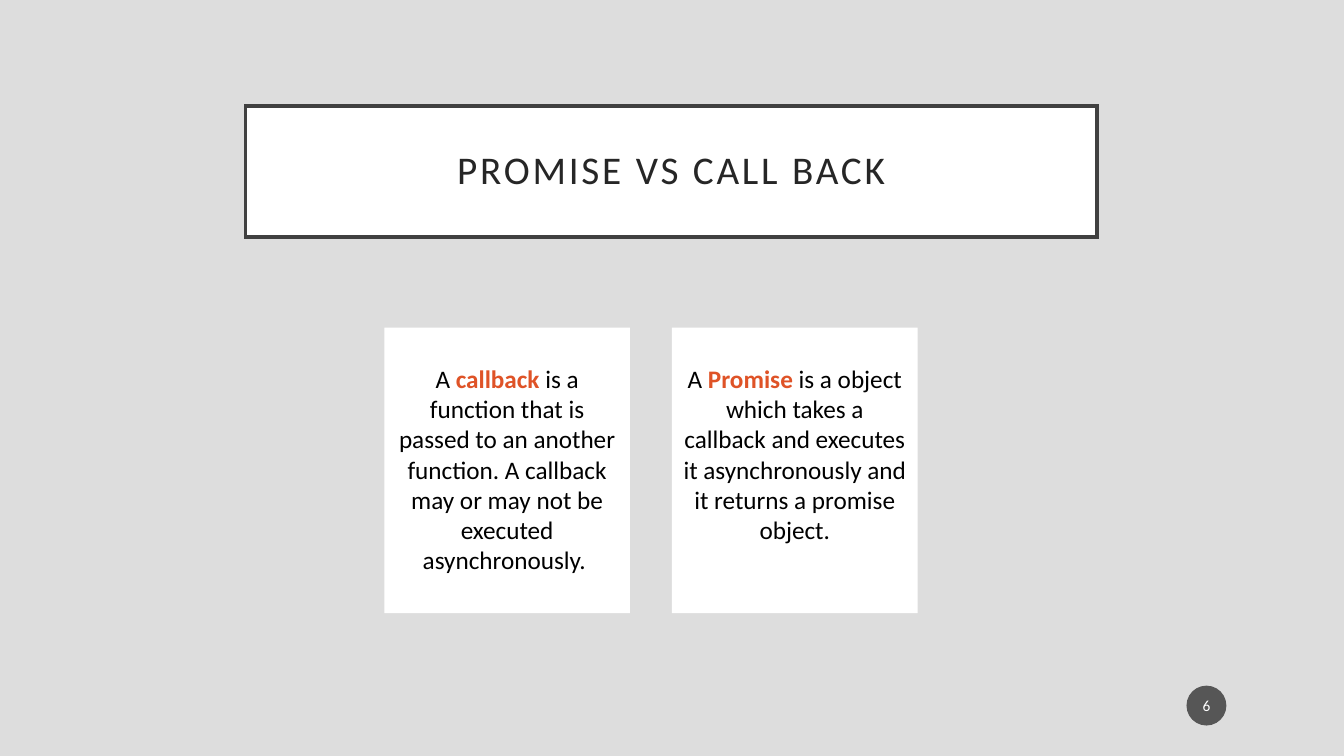
"""Build the slide that compares promises with callbacks."""
from lxml.etree import SubElement
from pptx import Presentation
from pptx.dml.color import RGBColor
from pptx.enum.shapes import MSO_SHAPE as Shape
from pptx.enum.text import MSO_ANCHOR as Anchor, PP_ALIGN as Align
from pptx.oxml.ns import qn
from pptx.util import Emu, Pt

PX = 9525
FONT = "Calibri"
BACKDROP = RGBColor(0xDD, 0xDD, 0xDD)
WHITE = RGBColor(0xFF, 0xFF, 0xFF)
BLACK = RGBColor(0x00, 0x00, 0x00)
FRAME = RGBColor(0x40, 0x40, 0x40)
HEADING = RGBColor(0x26, 0x26, 0x26)
ACCENT = RGBColor(0xDF, 0x53, 0x27)
BADGE = RGBColor(0x1D, 0x1D, 0x1D)

CARD_LEFT, CARD_TOP, CARD_WIDTH, CARD_HEIGHT, CARD_GAP = 366, 312, 234, 272, 40
DEFINITIONS = [
    ("callback ", "is a function that is passed to an another function. "
     "A callback may or may not be executed asynchronously. "),
    ("Promise ", "is a object which takes a callback and executes it "
     "asynchronously and it returns a promise object."),
]


def px(length):
    return Emu(length * PX)


def set_insets(frame, left, top, right, bottom):
    frame.margin_left, frame.margin_top = px(left), px(top)
    frame.margin_right, frame.margin_bottom = px(right), px(bottom)
    frame.word_wrap = True


def style(paragraph, size, color):
    paragraph.alignment = Align.CENTER
    paragraph.font.name = FONT
    paragraph.font.size = Pt(size)
    paragraph.font.color.rgb = color


def add_block(slide, kind, left, top, width, height, color):
    block = slide.shapes.add_shape(kind, px(left), px(top), px(width), px(height))
    block.shadow.inherit = False
    block.fill.solid()
    block.fill.fore_color.rgb = color
    block.line.fill.background()
    return block


def set_title(slide, text):
    title = slide.shapes.title
    title.left, title.top, title.width, title.height = map(px, (234, 101, 811, 125))
    title.fill.solid()
    title.fill.fore_color.rgb = WHITE
    title.line.color.rgb = FRAME
    title.line.width = Pt(2.5)
    SubElement(title.line._get_or_add_ln(), qn("a:miter"), lim="800000")
    frame = title.text_frame
    set_insets(frame, 19, 19, 19, 19)
    frame.vertical_anchor = Anchor.MIDDLE
    heading = frame.paragraphs[0]
    run = heading.add_run()
    run.text = text
    run.font._element.set("spc", "200")
    heading.line_spacing = 0.9
    style(heading, 28, HEADING)


def add_card(slide, left, term, meaning):
    card = add_block(slide, Shape.RECTANGLE, left, CARD_TOP, CARD_WIDTH, CARD_HEIGHT, WHITE)
    frame = card.text_frame
    set_insets(frame, 10, 34, 10, 5)
    frame.vertical_anchor = Anchor.TOP
    definition = frame.paragraphs[0]
    style(definition, 18, BLACK)
    for text, color, bold in (("A ", BLACK, False), (term, ACCENT, True), (meaning, BLACK, False)):
        run = definition.add_run()
        run.text = text
        run.font.name = FONT
        run.font.size = Pt(18)
        run.font.bold = bold
        run.font.color.rgb = color


def add_page_badge(slide, number):
    badge = add_block(slide, Shape.OVAL, 1130, 653, 38, 38, BADGE)
    fill_color = badge.fill._xPr.find(qn("a:solidFill"))[0]
    SubElement(fill_color, qn("a:alpha"), val="70000")
    frame = badge.text_frame
    set_insets(frame, 2, 5, 2, 5)
    frame.vertical_anchor = Anchor.MIDDLE
    frame.text = number
    style(frame.paragraphs[0], 11, WHITE)


def main():
    deck = Presentation()
    deck.slide_width, deck.slide_height = px(1280), px(720)
    slide = deck.slides.add_slide(deck.slide_layouts[5])
    slide.background.fill.solid()
    slide.background.fill.fore_color.rgb = BACKDROP
    add_page_badge(slide, "6")
    set_title(slide, "PROMISE VS CALL BACK")
    for column, (term, meaning) in enumerate(DEFINITIONS):
        add_card(slide, CARD_LEFT + column * (CARD_WIDTH + CARD_GAP), term, meaning)
    deck.save("out.pptx")


if __name__ == "__main__":
    main()
